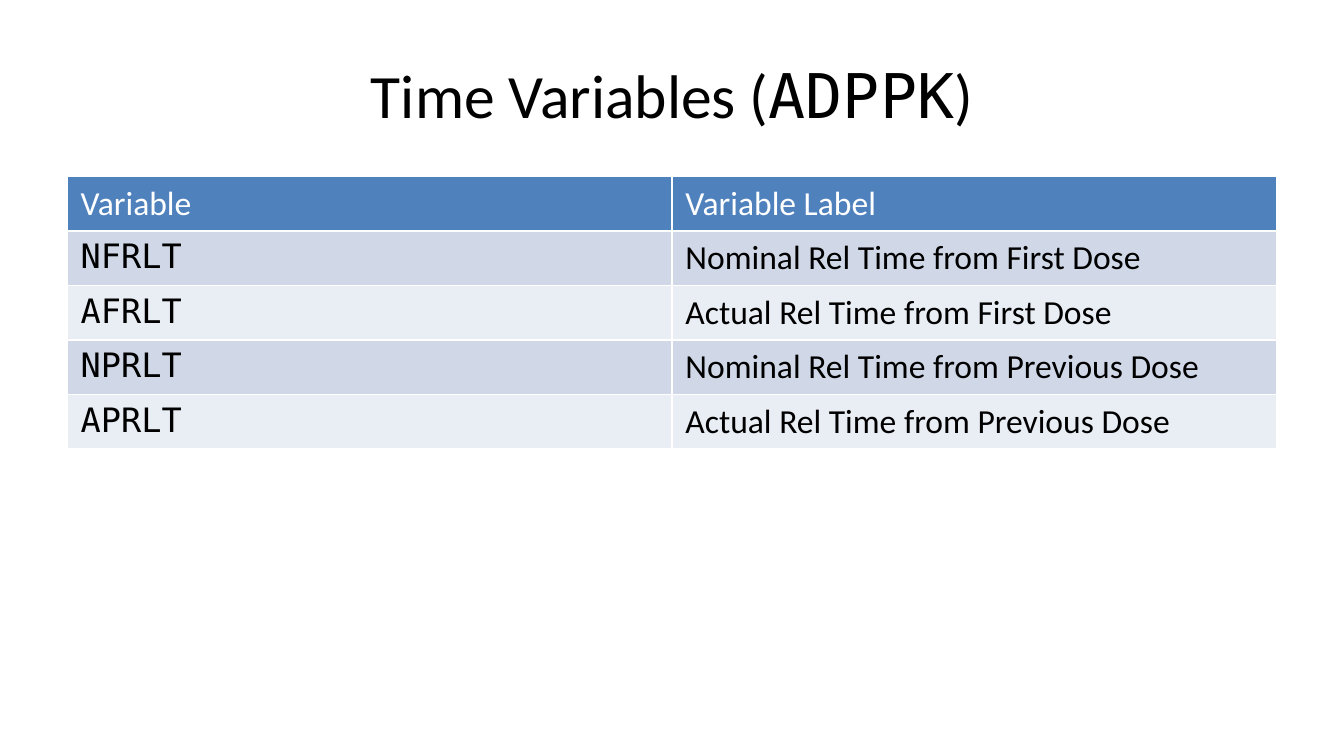
from pptx import Presentation
from pptx.dml.color import RGBColor
from pptx.enum import text
from pptx.util import Pt

THEME = {
    "sans": "Calibri",
    "mono": "DejaVu Sans Mono",
    "title_size": Pt(33),
    "table_size": Pt(18),
    "ink": RGBColor.from_string("000000"),
    "header_ink": RGBColor.from_string("FFFFFF"),
    "header_fill": RGBColor.from_string("4F81BD"),
    "bands": [RGBColor.from_string(c) for c in ("D0D8E8", "E9EDF4")],
}
ROWS = [
    ("Variable", "Variable Label"),
    ("NFRLT", "Nominal Rel Time from First Dose"),
    ("AFRLT", "Actual Rel Time from First Dose"),
    ("NPRLT", "Nominal Rel Time from Previous Dose"),
    ("APRLT", "Actual Rel Time from Previous Dose"),
]


def add_run(p, words, color, **fmt):
    r = p.add_run()
    r.text = words
    for name, value in fmt.items():
        setattr(r.font, name, value)
    r.font.color.rgb = color


prs = Presentation()
prs.slide_width, prs.slide_height = Pt(720), Pt(405)
s = prs.slides.add_slide(prs.slide_layouts[5])

title = s.shapes.title
box = {"left": Pt(36), "top": Pt(16.5), "width": Pt(648), "height": Pt(67.5)}
for name, value in box.items():
    setattr(title, name, value)
tf = title.text_frame
tf.vertical_anchor = text.MSO_ANCHOR.MIDDLE
p = tf.paragraphs[0]
p.alignment = text.PP_ALIGN.CENTER
for words, face in (("Time Variables (", "sans"), ("ADPPK", "mono"), (")", "sans")):
    add_run(p, words, THEME["ink"], name=THEME[face], size=THEME["title_size"])

row_height = Pt(29.1)
table = s.shapes.add_table(
    len(ROWS), 2, Pt(36), Pt(94.5), Pt(648), row_height * len(ROWS)
).table
for i, row in enumerate(ROWS):
    header = i == 0
    fill = THEME["header_fill"] if header else THEME["bands"][(i - 1) % 2]
    color = THEME["header_ink"] if header else THEME["ink"]
    for j, words in enumerate(row):
        cell = table.cell(i, j)
        cell.fill.solid()
        cell.fill.fore_color.rgb = fill
        face = "mono" if j == 0 and not header else "sans"
        add_run(cell.text_frame.paragraphs[0], words, color,
                name=THEME[face], size=THEME["table_size"], bold=False)

prs.save("out.pptx")
